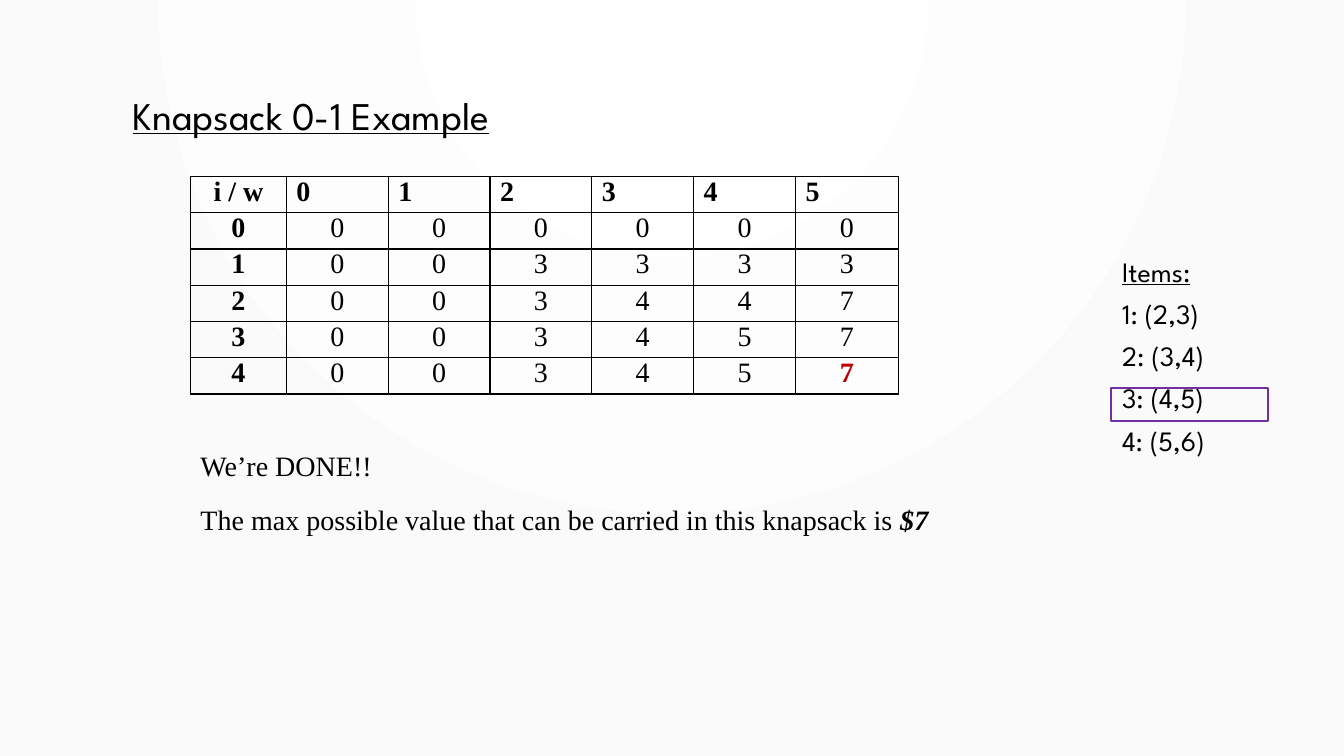
from lxml import etree
from pptx import Presentation
from pptx import util as u
from pptx.dml.color import RGBColor
from pptx.enum import shapes, text
from pptx.oxml import parse_xml
from pptx.oxml.ns import nsdecls, qn

BLACK = RGBColor(0x00, 0x00, 0x00)
WHITE = RGBColor(0xFF, 0xFF, 0xFF)
PALE = RGBColor(0xFA, 0xFA, 0xFA)
RED = RGBColor(0xC0, 0x00, 0x00)
PURPLE = RGBColor(0x70, 0x30, 0xA0)

VALUES = [
    ["i / w", 0, 1, 2, 3, 4, 5],
    [0, 0, 0, 0, 0, 0, 0],
    [1, 0, 0, 3, 3, 3, 3],
    [2, 0, 0, 3, 4, 4, 7],
    [3, 0, 0, 3, 4, 5, 7],
    [4, 0, 0, 3, 4, 5, 7],
]
COLUMN_WIDTHS = [0.95] + [1.01] * 5 + [1.02]
ITEMS = ["Items:", "1: (2,3)", "2: (3,4)", "3: (4,5)", "4: (5,6)"]
CONCLUSION = [
    ["We’re DONE!!"],
    ["The max possible value that can be carried in this knapsack is ", "$7"],
]


class KnapsackSlide:
    display = "League Spartan"
    serif = "Times New Roman"

    def __init__(self, deck):
        self.page = deck.slides.add_slide(deck.slide_layouts[6])

    def background(self, center, edge):
        fill = self.page.background.fill
        fill.gradient()
        for stop, color in zip(fill.gradient_stops, (center, edge)):
            stop.color.rgb = color
        gradient = self.page.element.find(".//" + qn("a:gradFill"))
        gradient.remove(gradient.find(qn("a:lin")))
        gradient.append(parse_xml(
            f'<a:path {nsdecls("a")} path="circle">'
            '<a:fillToRect l="43000" t="0" r="43000" b="100000"/></a:path>'))

    def style(self, para, name, size=20, color=BLACK, bold=False, underline=False):
        font = para.font
        font.name, font.size = name, u.Pt(size)
        font.bold, font.underline = bold, underline
        font.color.rgb = color

    def text_box(self, area, paragraphs, name, size=20, spacing=1.0, before=0,
                 left=0, hanging=0, underline_first=False):
        box = self.page.shapes.add_textbox(*map(u.Inches, area))
        frame = box.text_frame
        frame.word_wrap = True
        for index, parts in enumerate(paragraphs):
            para = frame.paragraphs[0] if index == 0 else frame.add_paragraph()
            properties = para._p.get_or_add_pPr()
            properties.set("marL", str(u.Inches(left)))
            properties.set("indent", str(-u.Inches(hanging)))
            para.line_spacing = spacing
            if index:
                para.space_before = u.Pt(before)
            self.style(para, name, size, underline=underline_first and index == 0)
            for position, part in enumerate(parts):
                span = para.add_run()
                span.text = part
                if position:
                    span.font.bold = span.font.italic = True

    def cell_border(self, cell):
        properties = cell._tc.get_or_add_tcPr()
        for index, side in enumerate(("lnL", "lnR", "lnT", "lnB")):
            line = etree.Element(qn(f"a:{side}"), w=str(u.Pt(1)))
            solid = etree.SubElement(line, qn("a:solidFill"))
            etree.SubElement(solid, qn("a:srgbClr"), val=str(BLACK))
            properties.insert(index, line)

    def table(self, left, top, widths, row_height, values):
        frame = self.page.shapes.add_table(
            len(values), len(widths), u.Inches(left), u.Inches(top),
            u.Inches(sum(widths)), u.Inches(row_height * len(values)))
        grid = frame.table
        grid.first_row = grid.horz_banding = False
        for column, width in zip(grid.columns, widths):
            column.width = u.Inches(width)
        last = (len(values) - 1, len(widths) - 1)
        for r, row in enumerate(values):
            grid.rows[r].height = u.Inches(row_height)
            for c, value in enumerate(row):
                cell = grid.cell(r, c)
                cell.margin_top = cell.margin_bottom = 0
                cell.fill.background()
                self.cell_border(cell)
                cell.text = str(value)
                para = cell.text_frame.paragraphs[0]
                heading = r == 0 and c > 0
                para.alignment = text.PP_ALIGN.LEFT if heading else text.PP_ALIGN.CENTER
                answer = (r, c) == last
                self.style(para, self.serif, color=RED if answer else BLACK,
                           bold=r == 0 or c == 0 or answer)

    def outline(self, area, color, width):
        shape = self.page.shapes.add_shape(
            shapes.MSO_SHAPE.RECTANGLE, *map(u.Inches, area))
        shape.shadow.inherit = False
        shape.fill.background()
        shape.line.color.rgb = color
        shape.line.width = u.Pt(width)


def main():
    deck = Presentation()
    deck.slide_width, deck.slide_height = u.Inches(13.33), u.Inches(7.5)
    slide = KnapsackSlide(deck)
    slide.background(WHITE, PALE)
    slide.text_box((1.22, 0.91, 10.94, 1.25), [["Knapsack 0-1 Example"]],
                   slide.display, size=28, spacing=0.9, underline_first=True)
    slide.text_box((10.94, 2.48, 1.56, 1.83), [[item] for item in ITEMS],
                   slide.display, before=6, left=0.4, hanging=0.31,
                   underline_first=True)
    slide.table(1.89, 1.75, COLUMN_WIDTHS, 0.36, VALUES)
    slide.text_box((1.89, 4.33, 10.44, 2.75), CONCLUSION, slide.serif,
                   spacing=1.2, before=10, left=0.25, hanging=0.25)
    slide.outline((11.02, 3.85, 1.56, 0.33), PURPLE, 1.25)
    deck.save("out.pptx")


if __name__ == "__main__":
    main()
